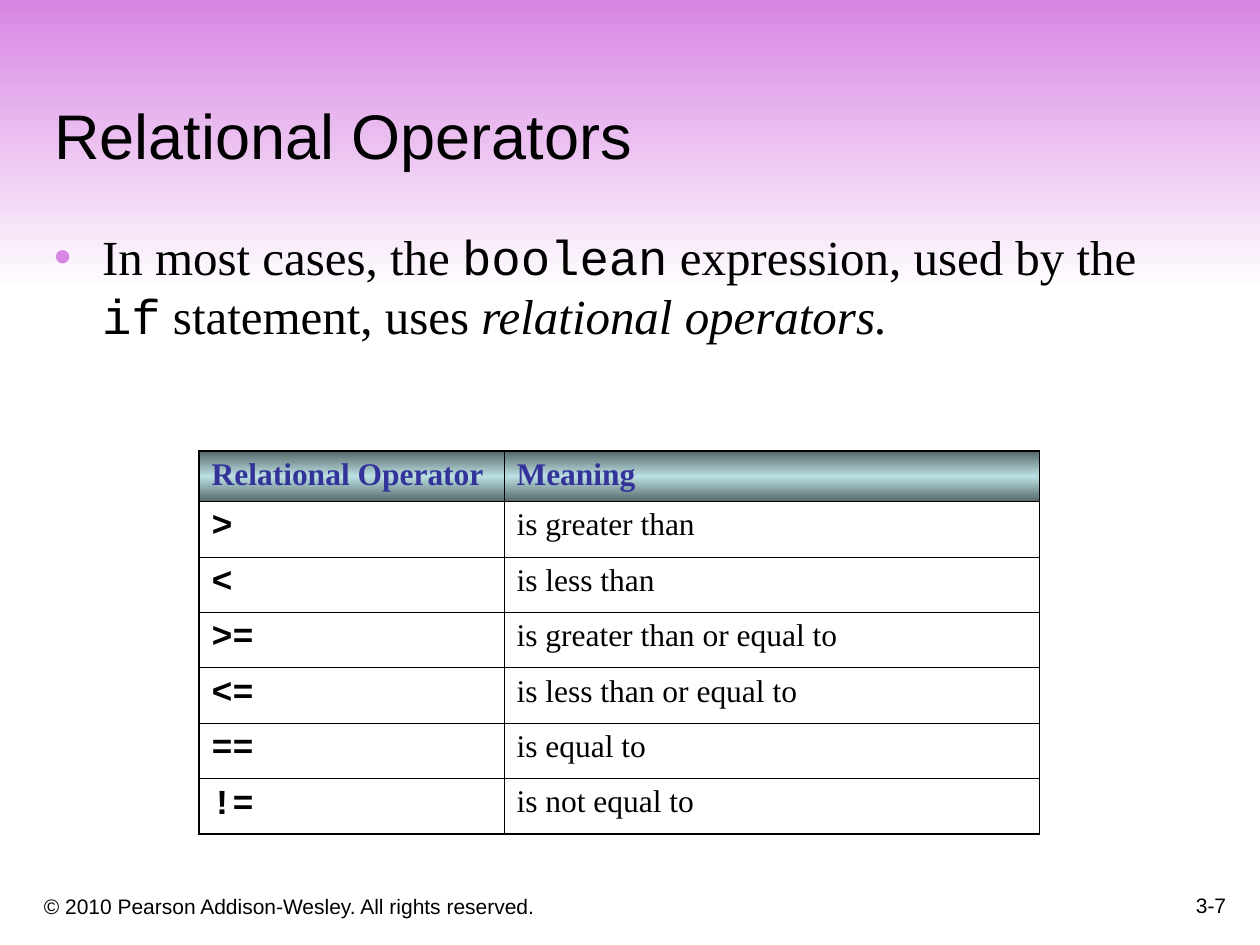
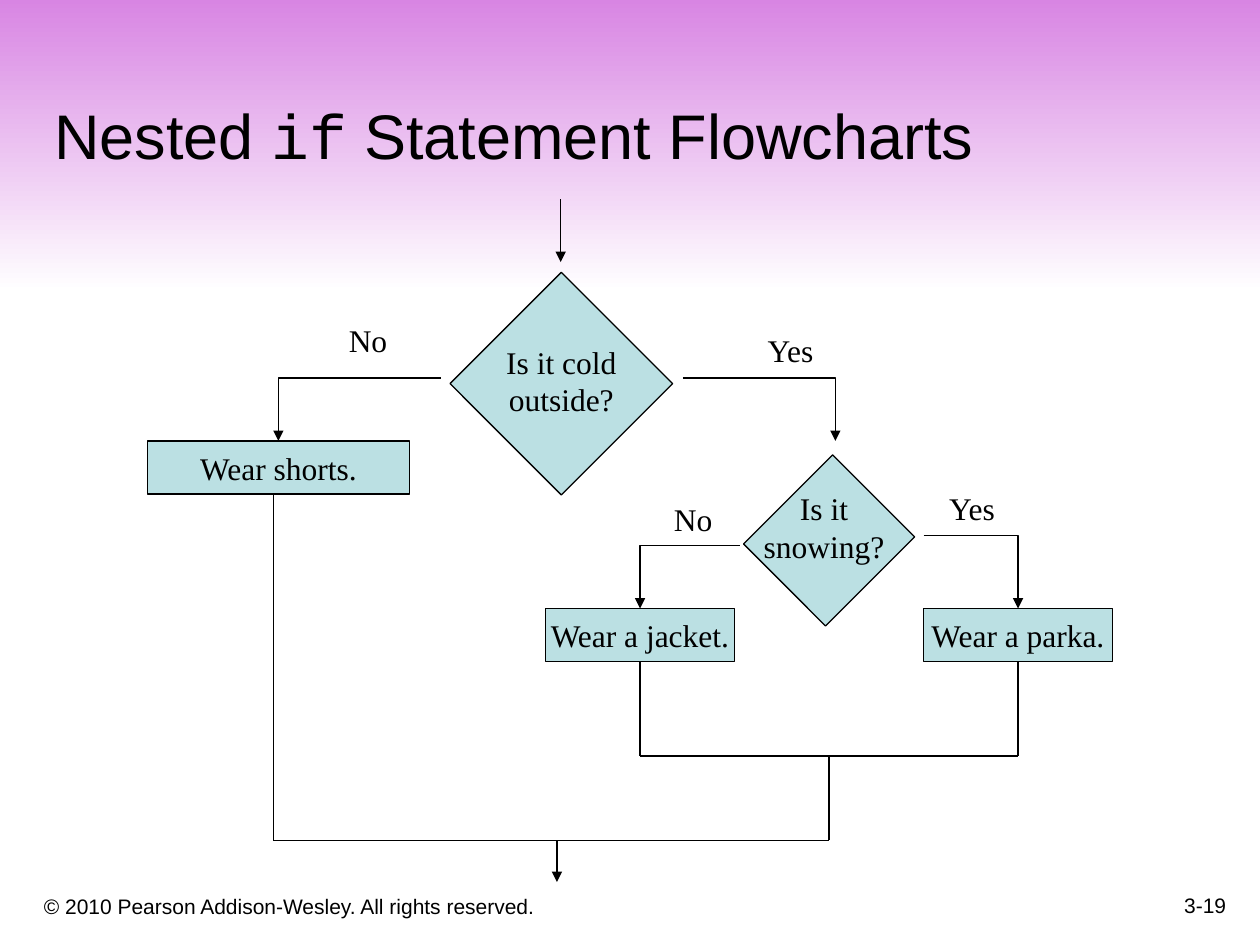
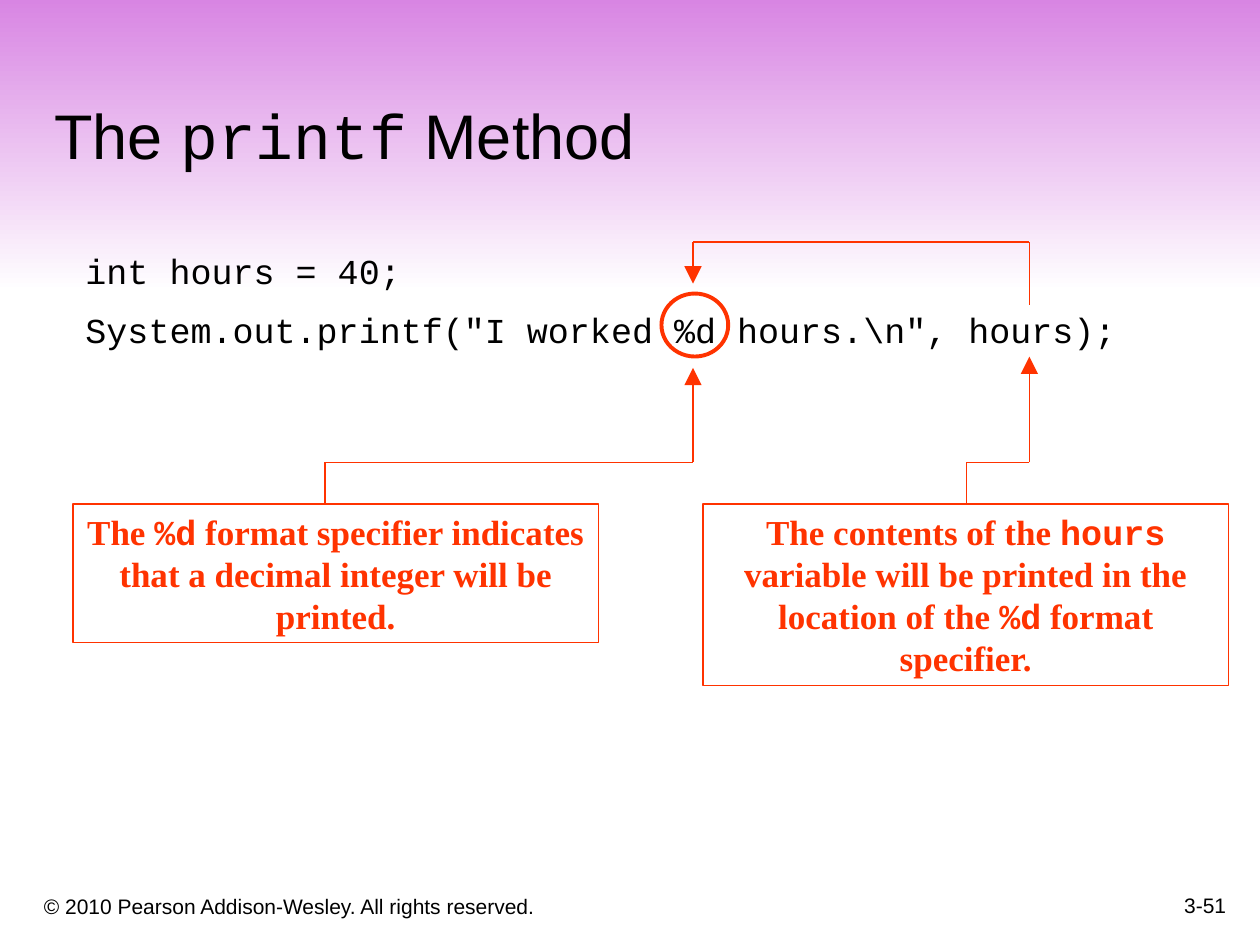
from dataclasses import dataclass

from lxml.etree import SubElement
from pptx import Presentation
from pptx.dml.color import RGBColor
from pptx.enum.shapes import MSO_CONNECTOR as Connector
from pptx.enum.shapes import MSO_SHAPE as Shape
from pptx.enum.text import MSO_ANCHOR as Anchor
from pptx.enum.text import MSO_AUTO_SIZE as AutoSize
from pptx.enum.text import PP_ALIGN as Align
from pptx.oxml.ns import qn
from pptx.util import Inches, Pt

BLACK = RGBColor(0x00, 0x00, 0x00)
WHITE = RGBColor(0xFF, 0xFF, 0xFF)
ORCHID = RGBColor(0xD8, 0x85, 0xE3)
PALE_TEAL = RGBColor(0xBB, 0xE0, 0xE3)
DARK_TEAL = RGBColor(0x57, 0x68, 0x69)
INDIGO = RGBColor(0x33, 0x33, 0x99)
ORANGE = RGBColor(0xFF, 0x33, 0x00)

SANS = "Arial"
SERIF = "Times New Roman"
MONO = "Courier New"

COPYRIGHT = "© 2010 Pearson Addison-Wesley. All rights reserved."
TITLE_AND_BODY, TITLE_ONLY = 1, 5
OUTER_BORDER, INNER_BORDER = 1.08, 0.45

Point = tuple[float, float]


@dataclass(frozen=True)
class Area:
    left: float
    top: float
    width: float
    height: float

    def lengths(self):
        return [Inches(n) for n in (self.left, self.top, self.width, self.height)]


@dataclass(frozen=True)
class Span:
    text: str
    font: str
    italic: bool = False


@dataclass(frozen=True)
class Step:
    """An action box of the flowchart."""
    text: str
    area: Area


@dataclass(frozen=True)
class Label:
    text: str
    area: Area
    align: Align = Align.CENTER


@dataclass(frozen=True)
class Callout:
    area: Area
    spans: list[Span]


def style_font(font, name: str, size: float, color=BLACK, bold=False) -> None:
    font.name = name
    font.size = Pt(size)
    font.color.rgb = color
    font.bold = bold


def write_spans(para, spans: list[Span], size: float, color=BLACK, bold=False) -> None:
    for span in spans:
        run = para.add_run()
        run.text = span.text
        style_font(run.font, span.font, size, color, bold)
        if span.italic:
            run.font.italic = True


def write_text(frame, text: str, font: str, size: float, align=Align.LEFT) -> None:
    frame.text = text
    for para in frame.paragraphs:
        para.alignment = align
        for run in para.runs:
            style_font(run.font, font, size)


def paint_gradient(fill, owner, stops: list[tuple[int, RGBColor]]) -> None:
    """Fill from top to bottom with (percent, colour) stops."""
    fill.gradient()
    fill.gradient_angle = 270
    stop_list = next(owner.iter(qn("a:gsLst")))
    for old_stop in list(stop_list):
        stop_list.remove(old_stop)
    for percent, color in stops:
        stop = SubElement(stop_list, qn("a:gs"), pos=str(percent * 1000))
        SubElement(stop, qn("a:srgbClr"), val=str(color))


def add_figure(page, kind: Shape, area: Area, fill=None, line=BLACK, weight=0.75):
    figure = page.shapes.add_shape(kind, *area.lengths())
    figure.shadow.inherit = False
    if fill is None:
        figure.fill.background()
    else:
        figure.fill.solid()
        figure.fill.fore_color.rgb = fill
    figure.line.color.rgb = line
    figure.line.width = Pt(weight)
    return figure


def add_text(page, area: Area, text: str, font: str, size: float,
             align=Align.LEFT, anchor=Anchor.TOP, wrap=True):
    box = page.shapes.add_textbox(*area.lengths())
    frame = box.text_frame
    frame.word_wrap = wrap
    frame.vertical_anchor = anchor
    write_text(frame, text, font, size, align)
    return box


def add_line(page, start: Point, end: Point, color=BLACK, arrow="", bent=False):
    """Draw a line; arrow is the head's size, bent turns once, from across to down."""
    kind = Connector.ELBOW if bent else Connector.STRAIGHT
    line = page.shapes.add_connector(kind, *(Inches(n) for n in (*start, *end)))
    line.line.color.rgb = color
    line.line.width = Pt(0.75)
    properties = line.element.spPr
    if bent:
        properties.find(qn("a:prstGeom")).set("prst", "bentConnector2")
    if arrow:
        SubElement(properties.find(qn("a:ln")), qn("a:tailEnd"),
                   type="triangle", w=arrow, len=arrow)
    SubElement(properties, qn("a:effectLst"))


def add_route(page, points: list[Point], color=BLACK, arrow="") -> None:
    """Join the points with straight lines, the last one carrying the arrowhead."""
    last = len(points) - 2
    for index, (start, end) in enumerate(zip(points, points[1:])):
        add_line(page, start, end, color, arrow if index == last else "")


def decorate_master(deck, page) -> None:
    """Build the band and the copyright line on a page, then move them to the master."""
    band = add_figure(page, Shape.RECTANGLE, Area(0, -0.01, 10, 2.33))
    band.line.fill.background()
    paint_gradient(band.fill, band.element, [(0, ORCHID), (100, WHITE)])
    footer = add_text(page, Area(0.25, 6.92, 6.08, 0.42), COPYRIGHT, SANS, 12,
                      anchor=Anchor.BOTTOM)
    tree = deck.slide_master.shapes.element
    for offset, item in enumerate((band, footer)):
        tree.insert(2 + offset, item.element)


def place(holder, area: Area, anchor: Anchor):
    holder.left, holder.top, holder.width, holder.height = area.lengths()
    frame = holder.text_frame
    frame.auto_size = AutoSize.NONE
    frame.vertical_anchor = anchor
    return frame


def add_page(deck, layout: int, title: list[Span], number: str):
    page = deck.slides.add_slide(deck.slide_layouts[layout])
    frame = place(page.shapes.title, Area(0.33, 0.33, 9.42, 1.09), Anchor.BOTTOM)
    para = frame.paragraphs[0]
    para.alignment = Align.LEFT
    write_spans(para, title, 36)
    add_text(page, Area(7.75, 6.83, 2.08, 0.5), number, SANS, 12,
             Align.RIGHT, Anchor.BOTTOM)
    return page


def add_bullet(para) -> None:
    properties = para._p.get_or_add_pPr()
    properties.set("marL", str(Inches(0.38)))
    properties.set("indent", str(Inches(-0.38)))
    color = SubElement(properties, qn("a:buClr"))
    SubElement(color, qn("a:srgbClr"), val=str(ORCHID))
    SubElement(properties, qn("a:buChar"), char="•")


def add_borders(cell, weights: dict[str, float]) -> None:
    properties = cell._tc.get_or_add_tcPr()
    for side, weight in weights.items():
        line = SubElement(properties, qn(f"a:ln{side}"), w=str(Pt(weight)))
        fill = SubElement(line, qn("a:solidFill"))
        SubElement(fill, qn("a:srgbClr"), val=str(BLACK))


def add_operator_table(page) -> None:
    rows = [
        ("Relational Operator", "Meaning"),
        (">", "is greater than"),
        ("<", "is less than"),
        (">=", "is greater than or equal to"),
        ("<=", "is less than or equal to"),
        ("==", "is equal to"),
        ("!=", "is not equal to"),
    ]
    last = len(rows) - 1
    area = Area(1.58, 3.58, 6.67, 3.04)
    table = page.shapes.add_table(len(rows), 2, *area.lengths()).table
    table.first_row = table.horz_banding = False
    for column, width in zip(table.columns, (2.42, 4.25)):
        column.width = Inches(width)
    for r, texts in enumerate(rows):
        table.rows[r].height = Inches(0.4 if r == 0 else 0.44)
        for c, text in enumerate(texts):
            cell = table.cell(r, c)
            on_edge = {"L": c == 0, "R": c == 1, "T": r == 0, "B": r == last}
            add_borders(cell, {side: OUTER_BORDER if edge else INNER_BORDER
                               for side, edge in on_edge.items()})
            cell.text = text
            font = cell.text_frame.paragraphs[0].runs[0].font
            if r == 0:
                paint_gradient(cell.fill, cell._tc,
                               [(0, DARK_TEAL), (50, PALE_TEAL), (100, DARK_TEAL)])
                style_font(font, SERIF, 18, INDIGO, bold=True)
            else:
                cell.fill.background()
                if c == 0:
                    style_font(font, MONO, 20, bold=True)
                else:
                    style_font(font, SERIF, 18)


def build_operators(deck):
    page = add_page(deck, TITLE_AND_BODY, [Span("Relational Operators", SANS)], "3-7")
    frame = place(page.placeholders[1], Area(0.33, 1.75, 9.07, 1.33), Anchor.TOP)
    frame.margin_right = 0
    para = frame.paragraphs[0]
    add_bullet(para)
    para.space_before = Pt(0)
    write_spans(para, [
        Span("In most cases, the ", SERIF),
        Span("boolean", MONO),
        Span(" expression, used by the ", SERIF),
        Span("if", MONO),
        Span(" statement, uses ", SERIF),
        Span("relational operators.", SERIF, italic=True),
    ], 28)
    add_operator_table(page)
    return page


def build_flowchart(deck) -> None:
    page = add_page(deck, TITLE_ONLY, [
        Span("Nested ", SANS), Span("if", MONO), Span(" Statement Flowcharts", SANS),
    ], "3-19")
    for area in (Area(3.83, 2.42, 1.25, 1.25), Area(6.12, 3.79, 0.92, 1)):
        add_figure(page, Shape.RECTANGLE, area, PALE_TEAL).rotation = 45

    steps = [
        Step("Wear shorts.", Area(1.17, 3.5, 2.08, 0.42)),
        Step("Wear a jacket.", Area(4.33, 4.83, 1.5, 0.42)),
        Step("Wear a parka.", Area(7.33, 4.83, 1.5, 0.42)),
    ]
    for step in steps:
        frame = add_figure(page, Shape.RECTANGLE, step.area, PALE_TEAL).text_frame
        frame.word_wrap = False
        write_text(frame, step.text, SERIF, 18, Align.CENTER)

    labels = [
        Label("Is it cold\noutside?", Area(3.9, 2.67, 1.11, 0.7)),
        Label("Is it\nsnowing?", Area(5.94, 3.83, 1.2, 0.7)),
        Label("Yes", Area(5.96, 2.58, 0.63, 0.4)),
        Label("Yes", Area(7.4, 3.83, 0.63, 0.4)),
        Label("No", Area(2.67, 2.5, 0.54, 0.4), Align.LEFT),
        Label("No", Area(5.25, 3.92, 0.54, 0.4), Align.LEFT),
    ]
    for label in labels:
        add_text(page, label.area, label.text, SERIF, 18, label.align, wrap=False)

    branches = [
        ((3.5, 3), (2.21, 3.5)),
        ((5.42, 3), (6.63, 3.5)),
        ((5.87, 4.33), (5.08, 4.83)),
        ((7.33, 4.25), (8.08, 4.83)),
    ]
    for start, end in branches:
        add_line(page, start, end, arrow="med", bent=True)

    add_route(page, [(4.45, 1.58), (4.45, 2.08)], arrow="med")
    add_route(page, [(5.08, 5.25), (5.08, 6), (8.08, 6), (8.08, 5.25)])
    add_route(page, [(2.17, 3.92), (2.17, 6.67), (6.58, 6.67), (6.58, 6)])
    add_route(page, [(4.42, 6.67), (4.42, 7)], arrow="med")


def build_printf(deck) -> None:
    page = add_page(deck, TITLE_ONLY, [
        Span("The ", SANS), Span("printf", MONO), Span(" Method", SANS),
    ], "3-51")
    code = 'int hours = 40;\nSystem.out.printf("I worked %d hours.\\n", hours);'
    box = add_text(page, Area(0.58, 1.93, 9.08, 0.91), code, MONO, 20)
    first, second = box.text_frame.paragraphs
    first.space_after = second.space_before = second.space_after = Pt(5)

    add_figure(page, Shape.OVAL, Area(5.25, 2.33, 0.53, 0.5), line=ORANGE, weight=2.25)

    callouts = [
        Callout(Area(0.58, 4, 4.17, 1.1), [
            Span("The ", SERIF),
            Span("%d", MONO),
            Span(" format specifier indicates that a decimal integer"
                 " will be printed.", SERIF),
        ]),
        Callout(Area(5.58, 4, 4.17, 1.44), [
            Span("The contents of the ", SERIF),
            Span("hours", MONO),
            Span(" variable will be printed in the location of the ", SERIF),
            Span("%d", MONO),
            Span(" format specifier.", SERIF),
        ]),
    ]
    for callout in callouts:
        frame = add_figure(page, Shape.RECTANGLE, callout.area, line=ORANGE).text_frame
        frame.word_wrap = True
        frame.vertical_anchor = Anchor.TOP
        para = frame.paragraphs[0]
        para.alignment = Align.CENTER
        write_spans(para, callout.spans, 20, ORANGE, bold=True)

    routes = [
        [(8.17, 2.42), (8.17, 1.92), (5.5, 1.92), (5.5, 2.25)],
        [(2.58, 4), (2.58, 3.67), (5.5, 3.67), (5.5, 2.92)],
        [(7.67, 4), (7.67, 3.67), (8.17, 3.67), (8.17, 2.83)],
    ]
    for points in routes:
        add_route(page, points, ORANGE, arrow="lg")


def main() -> None:
    deck = Presentation()
    deck.slide_width, deck.slide_height = Inches(10), Inches(7.5)
    first_page = build_operators(deck)
    decorate_master(deck, first_page)
    build_flowchart(deck)
    build_printf(deck)
    deck.save("out.pptx")


if __name__ == "__main__":
    main()
